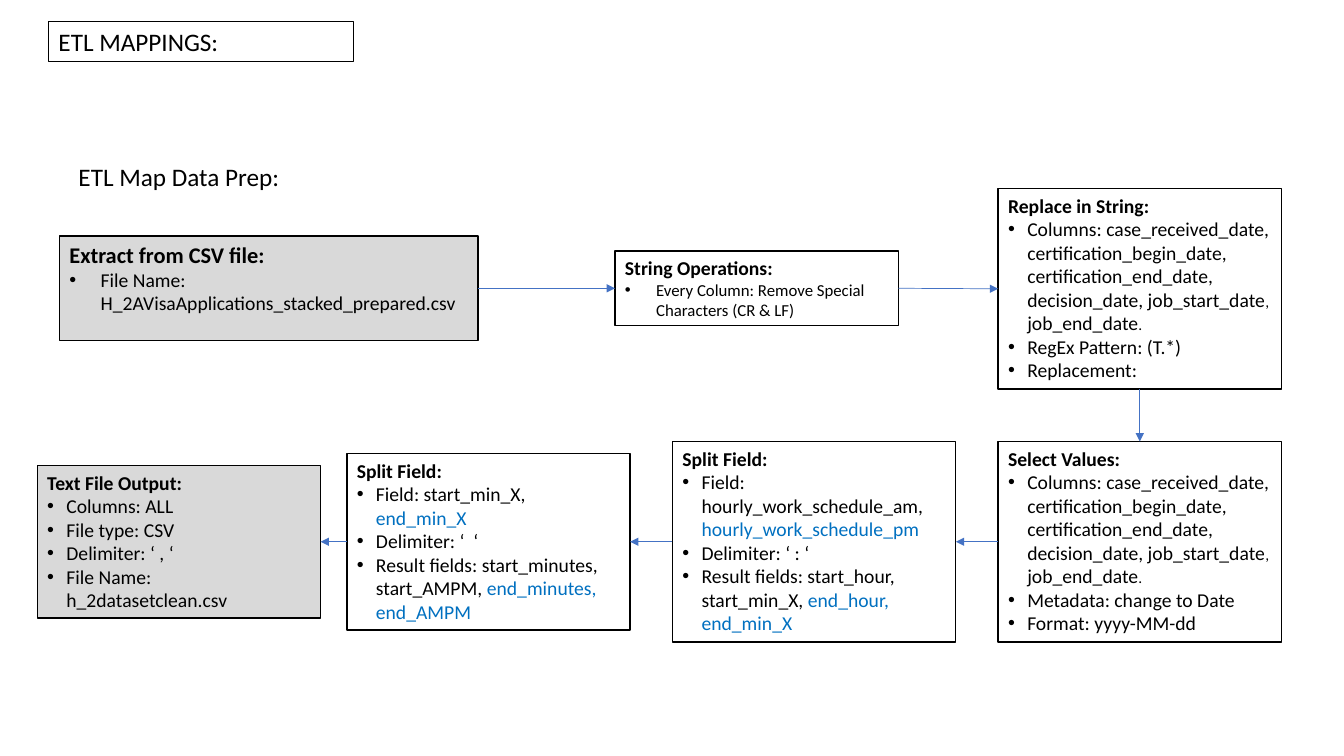
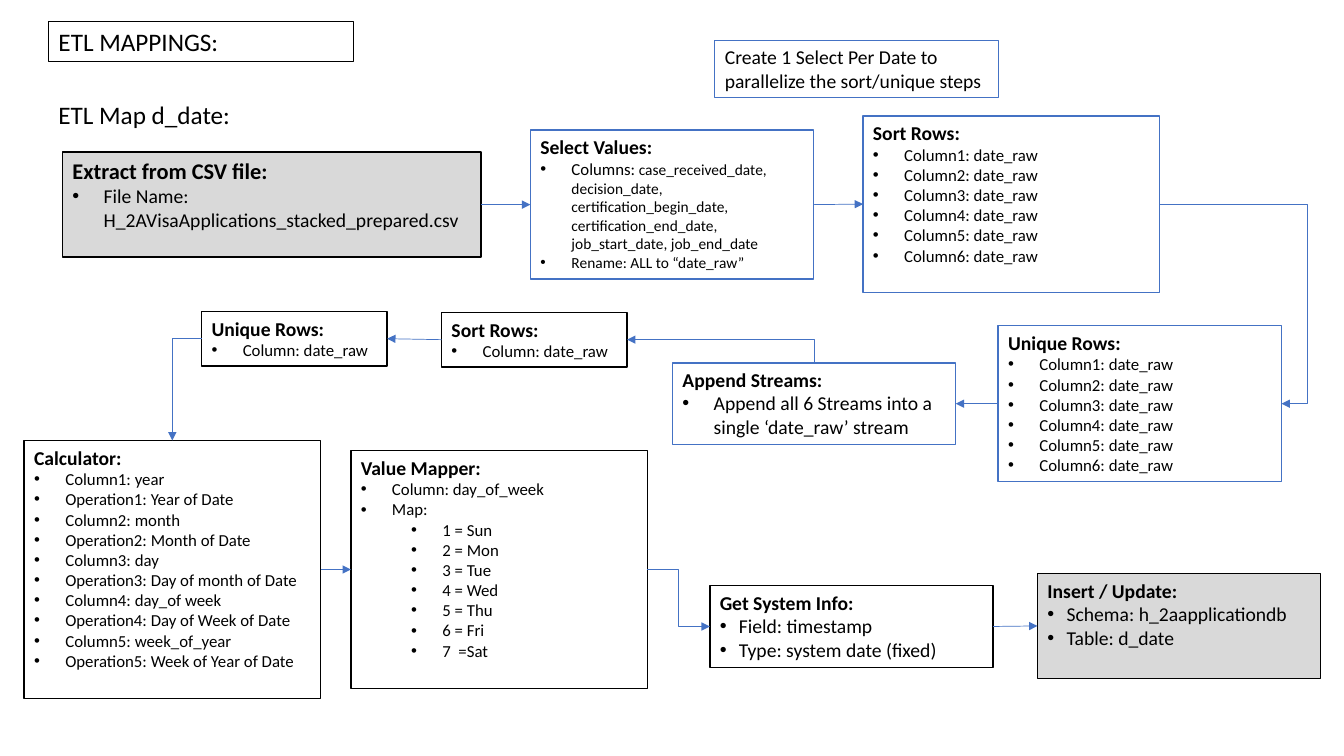
from lxml.etree import SubElement
from pptx import Presentation
from pptx.dml.color import RGBColor
from pptx.enum.shapes import MSO_CONNECTOR, MSO_SHAPE
from pptx.enum.text import MSO_ANCHOR, MSO_AUTO_SIZE, PP_ALIGN
from pptx.oxml.ns import qn
from pptx.util import Inches, Pt

BLACK = RGBColor(0x00, 0x00, 0x00)
WHITE = RGBColor(0xFF, 0xFF, 0xFF)
GREY = RGBColor(0xD9, 0xD9, 0xD9)
BLUE = RGBColor(0x44, 0x72, 0xC4)
SECOND_FIELD = RGBColor(0x00, 0x70, 0xC0)
FONT = "Calibri"
RECTANGLE = MSO_SHAPE.RECTANGLE
STRAIGHT = MSO_CONNECTOR.STRAIGHT
ELBOW = MSO_CONNECTOR.ELBOW
LEFT_ALIGNED = PP_ALIGN.LEFT
ANCHOR_TOP = MSO_ANCHOR.TOP
NO_AUTOFIT = MSO_AUTO_SIZE.NONE
TITLE_ONLY = 5
TOP, LEFT, BOTTOM, RIGHT = range(4)
NARROW, WIDE, NESTED = 0.19, 0.31, 0.81
STEP_WIDTH, LARGE_WIDTH, SMALL_WIDTH = 2.81, 2.94, 1.84
SOURCE_FILE = "File Name: H_2AVisaApplications_stacked_prepared.csv"
DATE_COLUMNS = [
    ("Columns: case_received_date, certification_begin_date, "
     "certification_end_date, decision_date, job_start_date", {}),
    (", ", {"size": 11}),
    ("job_end_date", {}),
    (".", {"size": 11}),
]
SIX_DATES = [f"Column{number}: date_raw" for number in range(1, 7)]


def prepare(frame):
    frame.word_wrap = True
    frame.auto_size = NO_AUTOFIT
    frame.vertical_anchor = ANCHOR_TOP


def style(paragraph, size, bold=False):
    paragraph.alignment = LEFT_ALIGNED
    paragraph.font.name = FONT
    paragraph.font.size = Pt(size)
    paragraph.font.bold = bold
    paragraph.font.color.rgb = BLACK


def outline(shape, color, width):
    shape.line.color.rgb = color
    shape.line.width = Pt(width)


def write_label(shape, text, size):
    prepare(shape.text_frame)
    shape.text_frame.text = text
    style(shape.text_frame.paragraphs[0], size)


def add_label(slide, box, text, size=18):
    label = slide.shapes.add_textbox(*map(Inches, box))
    write_label(label, text, size)
    return label


def add_titled_slide(deck):
    slide = deck.slides.add_slide(deck.slide_layouts[TITLE_ONLY])
    title = slide.shapes.title
    title.left, title.top, title.width, title.height = map(
        Inches, (0.48, 0.21, 3.03, 0.4))
    write_label(title, "ETL MAPPINGS:", 18)
    outline(title, BLACK, 0.75)
    return slide


def add_bullet(frame, content, size, margin, hanging):
    paragraph = frame.add_paragraph()
    style(paragraph, size)
    properties = paragraph._p.get_or_add_pPr()
    properties.set("marL", str(Inches(margin)))
    properties.set("indent", str(-Inches(hanging)))
    SubElement(properties, qn("a:buFont")).set("typeface", "Arial")
    SubElement(properties, qn("a:buChar")).set("char", "•")
    runs = [(content, {})] if isinstance(content, str) else content
    for text, changes in runs:
        run = paragraph.add_run()
        run.text = text
        if "size" in changes:
            run.font.size = Pt(changes["size"])
        if "color" in changes:
            run.font.color.rgb = changes["color"]
    return paragraph


def add_step(slide, box, heading, bullets, size=14, indent=NARROW,
             fill=WHITE, border=BLACK, heading_size=14, details=()):
    step = slide.shapes.add_shape(RECTANGLE, *map(Inches, box))
    step.shadow.inherit = False
    step.fill.solid()
    step.fill.fore_color.rgb = fill
    outline(step, border, 1)
    frame = step.text_frame
    prepare(frame)
    frame.text = heading
    style(frame.paragraphs[0], heading_size, bold=True)
    for bullet in bullets:
        add_bullet(frame, bullet, size, indent, indent)
    for detail in details:
        add_bullet(frame, detail, size, NESTED, indent).level = 1
    return step


def add_extract(slide, left, top):
    return add_step(slide, (left, top, 4.15, 1.04), "Extract from CSV file:",
                    [SOURCE_FILE], indent=WIDE, fill=GREY, heading_size=16)


def side_point(step, side):
    across = {LEFT: 0, RIGHT: step.width}.get(side, step.width // 2)
    down = {TOP: 0, BOTTOM: step.height}.get(side, step.height // 2)
    return step.left + across, step.top + down


def connect(slide, start, end, start_side=RIGHT, end_side=LEFT,
            kind=STRAIGHT, one_bend=False, bend=None, arrow="a:tailEnd"):
    connector = slide.shapes.add_connector(
        kind, *side_point(start, start_side), *side_point(end, end_side))
    connector.begin_connect(start, start_side)
    connector.end_connect(end, end_side)
    outline(connector, BLUE, 0.5)
    properties = connector.element.spPr
    SubElement(properties.find(qn("a:ln")), qn(arrow)).set("type", "triangle")
    SubElement(properties, qn("a:effectLst"))
    geometry = properties.find(qn("a:prstGeom"))
    if one_bend:
        geometry.set("prst", "bentConnector2")
    if bend is not None:
        guide = SubElement(geometry.find(qn("a:avLst")), qn("a:gd"))
        guide.set("name", "adj1")
        guide.set("fmla", f"val {round(bend * 100000)}")


def build_data_prep(deck):
    slide = add_titled_slide(deck)
    add_label(slide, (0.68, 1.55, 3.11, 0.4), "ETL Map Data Prep:")
    extract = add_extract(slide, 0.59, 2.34)
    clean = add_step(
        slide, (6.1, 2.49, STEP_WIDTH, 0.74), "String Operations:",
        ["Every Column: Remove Special Characters (CR & LF)"],
        size=12, indent=WIDE)
    replace = add_step(
        slide, (9.9, 1.87, STEP_WIDTH, 1.99), "Replace in String:",
        [DATE_COLUMNS, "RegEx Pattern: (T.*)", "Replacement: "])
    select = add_step(
        slide, (9.9, 4.38, STEP_WIDTH, 1.99), "Select Values:",
        [DATE_COLUMNS, "Metadata: change to Date", "Format: yyyy-MM-dd "])
    blue = {"color": SECOND_FIELD}
    split_hours = add_step(
        slide, (6.67, 4.38, STEP_WIDTH, 1.99), "Split Field:",
        [[("Field: hourly_work_schedule_am, ", {}),
          ("hourly_work_schedule_pm", blue)],
         "Delimiter: ‘ : ‘",
         [("Result fields: start_hour, start_min_X, ", {}),
          ("end_hour, end_min_X", blue)]])
    split_minutes = add_step(
        slide, (3.44, 4.5, STEP_WIDTH, 1.75), "Split Field:",
        [[("Field: start_min_X, ", {}), ("end_min_X", blue)],
         "Delimiter: ‘  ‘",
         [("Result fields: start_minutes, start_AMPM, ", {}),
          ("end_minutes, end_AMPM", blue)]])
    output = add_step(
        slide, (0.37, 4.62, STEP_WIDTH, 1.51), "Text File Output:",
        ["Columns: ALL", "File type: CSV", "Delimiter: ‘ , ‘",
         "File Name: h_2datasetclean.csv"], fill=GREY)
    connect(slide, extract, clean)
    connect(slide, clean, replace)
    connect(slide, replace, select, BOTTOM, TOP)
    lower_row = [select, split_hours, split_minutes, output]
    for start, end in zip(lower_row, lower_row[1:]):
        connect(slide, start, end, LEFT, RIGHT)


def build_date_map(deck):
    slide = add_titled_slide(deck)
    add_label(slide, (0.48, 0.94, 3.11, 0.4), "ETL Map d_date:")
    parallel_note = add_label(
        slide, (7.09, 0.4, STEP_WIDTH, 0.57),
        "Create 1 Select Per Date to parallelize the sort/unique steps", 14)
    outline(parallel_note, BLUE, 0.75)
    extract = add_extract(slide, 0.62, 1.51)
    select = add_step(
        slide, (5.26, 1.29, STEP_WIDTH, 1.48), "Select Values:",
        [[("Columns:", {"size": 12}),
          (" case_received_date, decision_date, certification_begin_date, "
           "certification_end_date, job_start_date, job_end_date", {})],
         "Rename: ALL to “date_raw”"],
        size=11, indent=WIDE, border=BLUE)
    sort_each = add_step(
        slide, (8.56, 1.15, LARGE_WIDTH, 1.75), "Sort Rows:", SIX_DATES,
        size=12, indent=WIDE, border=BLUE)
    unique_each = add_step(
        slide, (9.9, 3.23, STEP_WIDTH, 1.55), "Unique Rows:", SIX_DATES,
        size=12, indent=WIDE, border=BLUE)
    append = add_step(
        slide, (6.67, 3.6, STEP_WIDTH, 0.81), "Append Streams:",
        ["Append all 6 Streams into a single ‘date_raw’ stream"],
        indent=WIDE, border=BLUE)
    sort_all, unique_all = [
        add_step(slide, (left, top, SMALL_WIDTH, 0.54), heading,
                 ["Column: date_raw"], size=12, indent=WIDE)
        for left, top, heading in [(4.38, 3.1, "Sort Rows:"),
                                   (2, 3.09, "Unique Rows:")]]
    calculator = add_step(
        slide, (0.24, 4.37, LARGE_WIDTH, 2.56), "Calculator:",
        ["Column1: year", "Operation1: Year of Date",
         "Column2: month", "Operation2: Month of Date",
         "Column3: day", "Operation3: Day of month of Date",
         "Column4: day_of week", "Operation4: Day of Week of Date",
         "Column5: week_of_year", "Operation5: Week of Year of Date"],
        size=12, indent=WIDE)
    mapper = add_step(
        slide, (3.48, 4.47, LARGE_WIDTH, 2.36), "Value Mapper:",
        ["Column: day_of_week", "Map:"], size=12, indent=WIDE,
        details=["1 = Sun", "2 = Mon", "3 = Tue", "4 = Wed", "5 = Thu",
                 "6 = Fri", "7  =Sat"])
    system_info = add_step(
        slide, (7.04, 5.81, STEP_WIDTH, 0.81), "Get System Info:",
        ["Field: timestamp", "Type: system date (fixed)"])
    insert = add_step(
        slide, (10.29, 5.69, STEP_WIDTH, 1.04), "Insert / Update:",
        ["Schema: h_2aapplicationdb", "Table: d_date"], fill=GREY)
    connect(slide, extract, select)
    connect(slide, select, sort_each)
    connect(slide, sort_each, unique_each, RIGHT, RIGHT, ELBOW, bend=1.21)
    connect(slide, unique_each, append, LEFT, RIGHT)
    connect(slide, sort_all, append, RIGHT, TOP, ELBOW, one_bend=True,
            arrow="a:headEnd")
    connect(slide, sort_all, unique_all, LEFT, RIGHT)
    connect(slide, unique_all, calculator, LEFT, TOP, ELBOW, one_bend=True)
    connect(slide, calculator, mapper)
    connect(slide, mapper, system_info, kind=ELBOW)
    connect(slide, system_info, insert)


deck = Presentation()
deck.slide_width = Inches(13.33)
deck.slide_height = Inches(7.5)
build_data_prep(deck)
build_date_map(deck)
deck.save("out.pptx")
